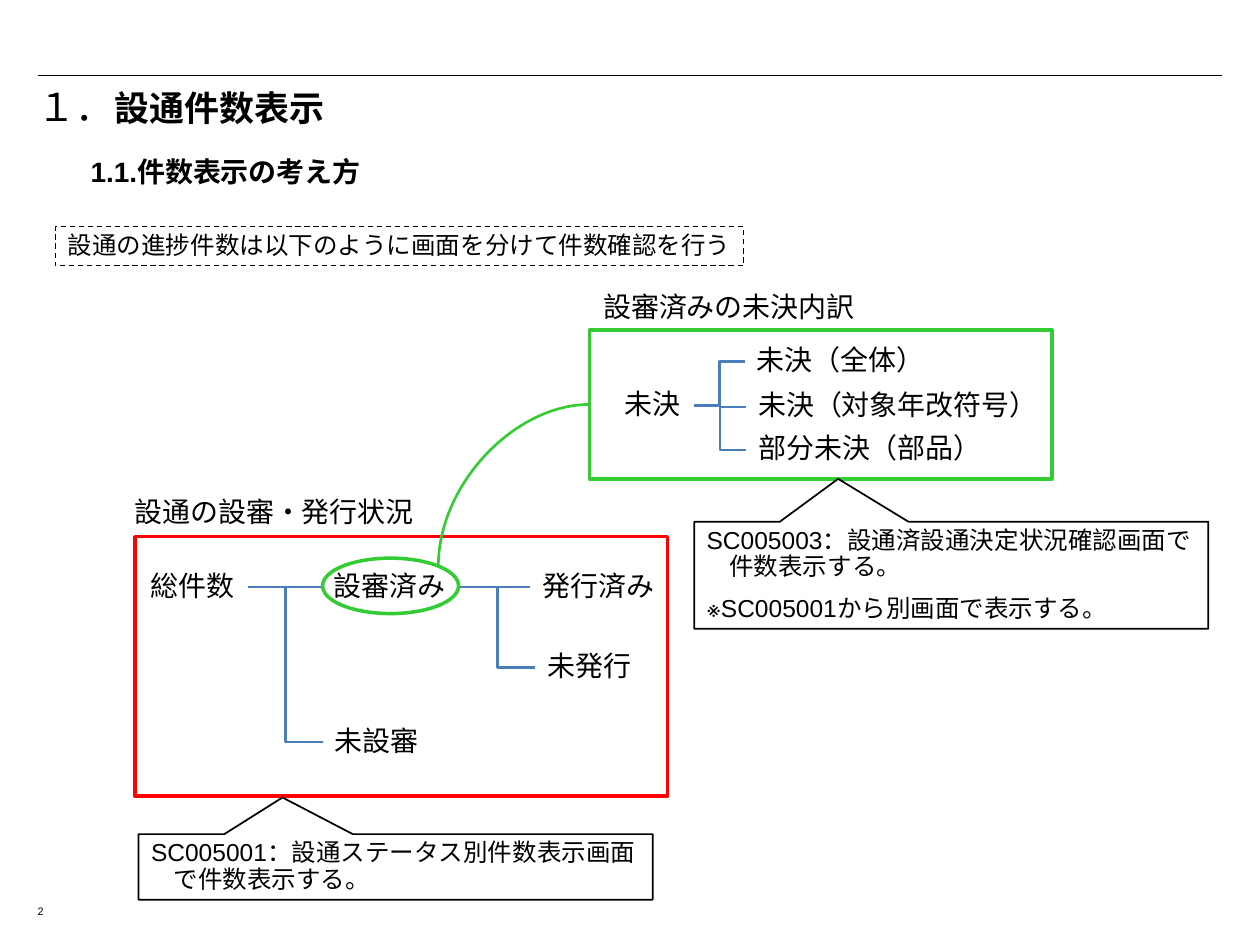
from dataclasses import dataclass

from lxml.etree import SubElement
from pptx import Presentation
from pptx.dml.color import RGBColor
from pptx.enum.dml import MSO_LINE
from pptx.enum.shapes import MSO_CONNECTOR, MSO_SHAPE
from pptx.enum.text import MSO_ANCHOR, MSO_AUTO_SIZE, PP_ALIGN
from pptx.oxml.ns import qn
from pptx.shapes.autoshape import Shape
from pptx.shapes.connector import Connector
from pptx.util import Inches, Pt

BLACK, WHITE, RED, GREEN, BLUE = "000000", "FFFFFF", "FF0000", "33CC33", "4A7EBB"
RIGHT_SIDE, LEFT_SIDE = 3, 1
LABEL_HEIGHT = 0.34


@dataclass(frozen=True)
class Label:
    text: str
    left: float
    top: float
    width: float
    wrap: bool = False


@dataclass(frozen=True)
class Outline:
    kind: MSO_SHAPE
    left: float
    top: float
    width: float
    height: float
    colour: str


@dataclass(frozen=True)
class Callout:
    left: float
    top: float
    height: float
    pointer: float
    lines: tuple[str, ...]


LABELS = {
    "total": Label("総件数", 1.1, 4.49, 0.87),
    "reviewed": Label("設審済み", 2.55, 4.49, 1.1),
    "unreviewed": Label("未設審", 2.56, 5.72, 0.87),
    "issued": Label("発行済み", 4.21, 4.49, 1.1),
    "unissued": Label("未発行", 4.25, 5.13, 0.87),
    "pending": Label("未決", 4.86, 3.05, 0.65),
    "pending_all": Label("未決（全体）", 5.91, 2.7, 1.54),
    "pending_code": Label("未決（対象年改符号）", 5.92, 3.06, 2.43),
    "pending_part": Label("部分未決（部品）", 5.92, 3.4, 1.98),
    "pending_heading": Label("設審済みの未決内訳", 4.69, 2.28, 2.2),
    "status_heading": Label("設通の設審・発行状況", 0.97, 3.91, 2.43),
}
BRANCHES = {
    "total": ("reviewed", "unreviewed"),
    "reviewed": ("issued", "unissued"),
    "pending": ("pending_all", "pending_code", "pending_part"),
}
OUTLINES = (
    Outline(MSO_SHAPE.RECTANGLE, 1.07, 4.26, 4.23, 2.06, RED),
    Outline(MSO_SHAPE.RECTANGLE, 4.68, 2.62, 3.67, 1.18, GREEN),
    Outline(MSO_SHAPE.OVAL, 2.56, 4.43, 1.08, 0.44, GREEN),
)
CALLOUTS = (
    Callout(1.1, 6.62, 0.52, -1.06,
            ("SC005001：設通ステータス別件数表示画面で件数表示する。",)),
    Callout(5.51, 4.14, 0.85, -0.9,
            ("SC005003：設通済設通決定状況確認画面で件数表示する。",
             "※SC005001から別画面で表示する。")),
)


def colour(value: str) -> RGBColor:
    return RGBColor.from_string(value)


def write(box: Shape, lines: tuple[str, ...], size: float, bold: bool = False,
          wrap: bool = True, hanging: float = 0, spacing: float = 0.9) -> None:
    frame = box.text_frame
    frame.text = "\n".join(lines)
    frame.word_wrap = wrap
    frame.auto_size = MSO_AUTO_SIZE.NONE
    frame.vertical_anchor = MSO_ANCHOR.TOP
    frame.margin_left = frame.margin_right = Inches(0.1)
    frame.margin_top = frame.margin_bottom = Inches(0.05)
    for index, para in enumerate(frame.paragraphs):
        para.alignment = PP_ALIGN.LEFT
        para.line_spacing = spacing
        if index:
            para.space_before = Pt(8.8)
        if hanging:
            properties = para._p.get_or_add_pPr()
            properties.set("marL", str(Inches(hanging)))
            properties.set("indent", str(-Inches(hanging)))
        for span in para.runs:
            span.font.name = "Arial"
            span.font.size = Pt(size)
            span.font.bold = bold
            span.font.color.rgb = colour(BLACK)


def add_text(page, label: Label, height: float, size: float, **style) -> Shape:
    box = page.shapes.add_textbox(Inches(label.left), Inches(label.top),
                                  Inches(label.width), Inches(height))
    write(box, (label.text,), size, wrap=label.wrap, **style)
    return box


def add_outline(page, outline: Outline, width: float = 2) -> Shape:
    shape = page.shapes.add_shape(outline.kind, Inches(outline.left), Inches(outline.top),
                                  Inches(outline.width), Inches(outline.height))
    shape.shadow.inherit = False
    shape.fill.background()
    shape.line.color.rgb = colour(outline.colour)
    shape.line.width = Pt(width)
    return shape


def add_line(page, kind: MSO_CONNECTOR, start: tuple[float, float],
             end: tuple[float, float], line_colour: str, width: float) -> Connector:
    line = page.shapes.add_connector(kind, Inches(start[0]), Inches(start[1]),
                                     Inches(end[0]), Inches(end[1]))
    line.line.color.rgb = colour(line_colour)
    line.line.width = Pt(width)
    SubElement(line._element.spPr, qn("a:effectLst"))
    return line


def add_branch(page, boxes: dict[str, Shape], parent: str, child: str) -> None:
    source, target = LABELS[parent], LABELS[child]
    kind = MSO_CONNECTOR.STRAIGHT if source.top == target.top else MSO_CONNECTOR.ELBOW
    start = (source.left + source.width, source.top + LABEL_HEIGHT / 2)
    end = (target.left, target.top + LABEL_HEIGHT / 2)
    line = add_line(page, kind, start, end, BLUE, 1.5)
    line.begin_connect(boxes[parent], RIGHT_SIDE)
    line.end_connect(boxes[child], LEFT_SIDE)


def add_callout(page, callout: Callout) -> None:
    outline = Outline(MSO_SHAPE.RECTANGULAR_CALLOUT, callout.left, callout.top,
                      4.08, callout.height, BLACK)
    shape = add_outline(page, outline, 1)
    shape.fill.solid()
    shape.fill.fore_color.rgb = colour(WHITE)
    shape.adjustments[0] = -0.22
    shape.adjustments[1] = callout.pointer
    write(shape, callout.lines, 14, hanging=0.18)


def add_title(page) -> None:
    box = add_text(page, Label("１．", 0.2, 0.65, 9.65, True), 0.57, 22)
    span = box.text_frame.paragraphs[0].add_run()
    span.text = "設通件数表示"
    span.font.name = "Arial"
    span.font.size = Pt(20)
    span.font.bold = True
    span.font.color.rgb = colour(BLACK)


def main() -> None:
    deck = Presentation()
    deck.slide_width, deck.slide_height = Inches(10), Inches(7.5)
    page = deck.slides.add_slide(deck.slide_layouts[6])

    add_line(page, MSO_CONNECTOR.STRAIGHT, (0.3, 0.6), (9.7, 0.6), BLACK, 0.75)
    add_title(page)
    add_text(page, Label("　1.1.件数表示の考え方", 0.4, 1.21, 6.6, True),
             LABEL_HEIGHT, 16, bold=True, hanging=0.38)
    add_text(page, Label("2", 0.2, 7.15, 0.4, True), 0.2, 6.2, spacing=0.8)

    summary = add_outline(page, Outline(MSO_SHAPE.RECTANGLE, 0.44, 1.8, 5.46, 0.31, BLACK), 0.75)
    summary.line.dash_style = MSO_LINE.DASH
    write(summary, ("設通の進捗件数は以下のように画面を分けて件数確認を行う",), 14, wrap=False)

    boxes = {name: add_text(page, label, LABEL_HEIGHT, 16) for name, label in LABELS.items()}
    for parent, children in BRANCHES.items():
        for child in children:
            add_branch(page, boxes, parent, child)

    for outline in OUTLINES:
        add_outline(page, outline)
    curve = add_line(page, MSO_CONNECTOR.CURVE, (4.68, 3.21), (3.48, 4.49), GREEN, 1.5)
    curve._element.spPr.find(qn("a:prstGeom")).set("prst", "curvedConnector2")
    for callout in CALLOUTS:
        add_callout(page, callout)

    deck.save("out.pptx")


if __name__ == "__main__":
    main()
